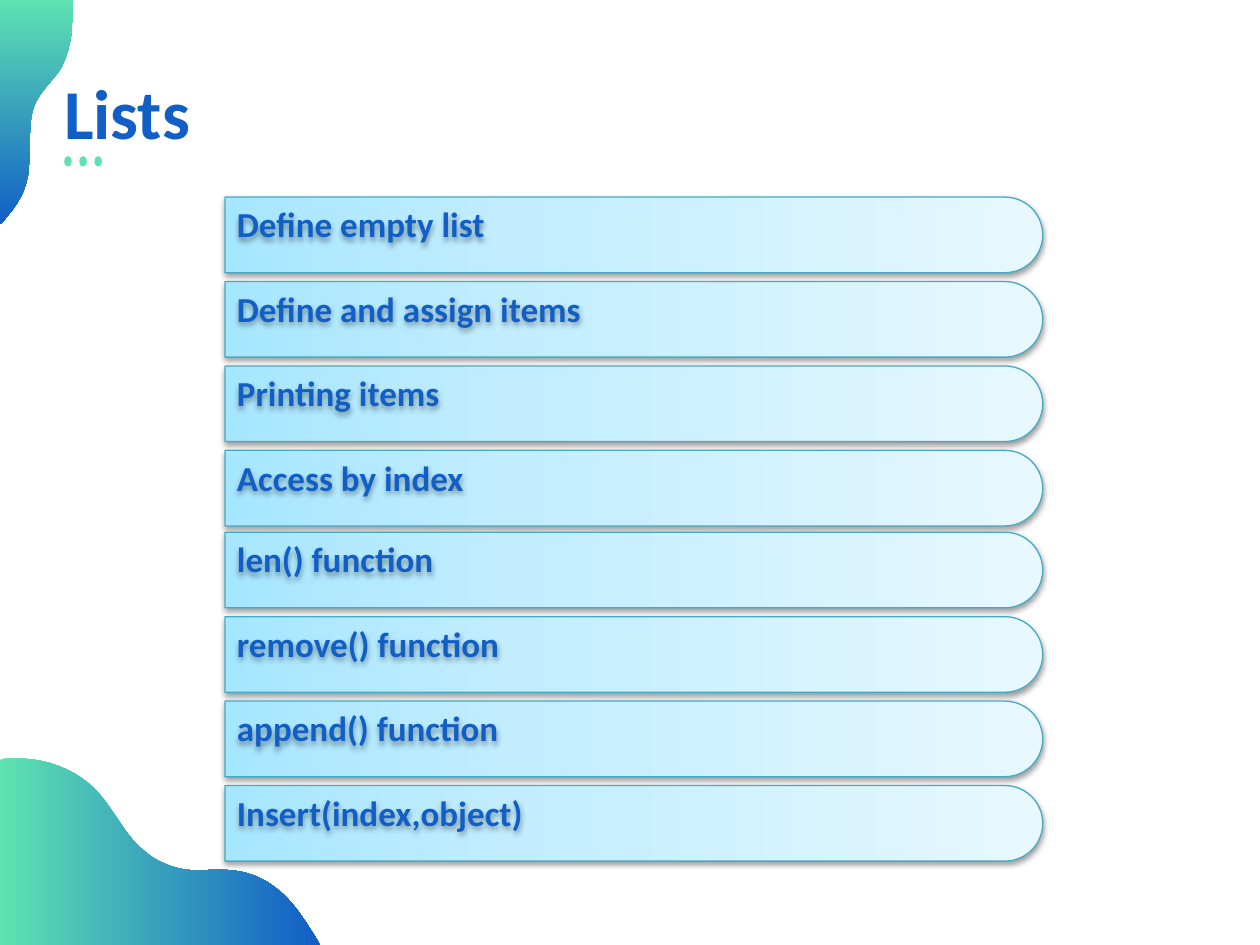
"""Build the Lists slide: eight topic bars, a title and two gradient corner waves."""
import pptx
import pptx.dml.color
import pptx.enum.shapes
import pptx.util
from lxml import etree
from pptx.enum.shapes import MSO_SHAPE
from pptx.util import Pt


class Theme:
    font = "Calibri"
    title_size, item_size = 40, 20
    blue, green, edge = "115EC7", "5EE2B1", "46AAC5"
    wave = [(0, "5EE2B1"), (100, "115EC7")]
    bar = [(0, "A7E6FF"), (35, "C1EDFF"), (100, "E7F8FF")]


A = "http://schemas.openxmlformats.org/drawingml/2006/main"
rgb = pptx.dml.color.RGBColor.from_string


def set_gradient(sp, stops, angle):
    sp.fill.gradient()
    grad = sp.fill._xPr.find(f"{{{A}}}gradFill")
    for child in list(grad):
        grad.remove(child)
    gs = etree.SubElement(grad, f"{{{A}}}gsLst")
    for pos, color in stops:
        stop = etree.SubElement(gs, f"{{{A}}}gs", pos=str(pos * 1000))
        etree.SubElement(stop, f"{{{A}}}srgbClr", val=color)
    etree.SubElement(grad, f"{{{A}}}lin", ang=str(angle * 60000), scaled="0")


def add_text(shapes, text, size, left, top, width, height):
    sp = shapes.add_textbox(Pt(left), Pt(top), Pt(width), Pt(height))
    tf = sp.text_frame
    tf.word_wrap = True
    tf.margin_left = tf.margin_right = tf.margin_top = tf.margin_bottom = 0
    r = tf.paragraphs[0].add_run()
    r.text = text
    r.font.name, r.font.size, r.font.bold = Theme.font, Pt(size), True
    r.font.color.rgb = rgb(Theme.blue)
    return sp


prs = pptx.Presentation()
prs.slide_width, prs.slide_height = Pt(720), Pt(540)
s = prs.slides.add_slide(prs.slide_layouts[6])

bottom_wave = (
    (10.1, 433.4),
    [
        ((25.9, 433.4), (42.5, 439.2), (54, 450.7)),
        ((64.8, 461.5), (70.6, 476.6), (82.1, 486)),
        ((88.6, 491.8), (97.2, 495.4), (105.1, 496.8)),
        ((114.5, 498.2), (123.8, 496.1), (133.2, 497.5)),
        ((141.8, 498.2), (150.5, 501.8), (157, 506.9)),
        ((167, 514.1), (173.5, 524.9), (180, 535)),
    ],
    [(182.9, 540), (0, 540), (0, 434.2), (2.2, 433.4)],
    0,
)
top_wave = (
    (41.8, 7.2),
    [
        ((41.8, 18), (39.6, 29.5), (35.3, 38.2)),
        ((31, 45.4), (25.2, 49.7), (20.9, 57.6)),
        ((18.7, 61.9), (17.3, 67.7), (17.3, 74.2)),
        ((16.6, 80.6), (17.3, 87.1), (16.6, 93.6)),
        ((16.6, 99.4), (15.1, 105.1), (13, 110.2)),
        ((10.1, 116.6), (5.8, 121.7), (2.2, 126)),
    ],
    [(0, 128.2), (0, 0), (41.8, 0)],
    90,
)
steps = 10
for start, curves, corners, angle in (bottom_wave, top_wave):
    outline, p0 = [], start
    for p1, p2, p3 in curves:
        for t in (i / steps for i in range(1, steps + 1)):
            u = 1 - t
            outline.append(tuple(
                u**3 * a + 3 * u * u * t * b + 3 * u * t * t * c + t**3 * d
                for a, b, c, d in zip(p0, p1, p2, p3)
            ))
        p0 = p3
    builder = s.shapes.build_freeform(Pt(start[0]), Pt(start[1]))
    builder.add_line_segments([(Pt(x), Pt(y)) for x, y in outline + corners])
    sp = builder.convert_to_shape()
    sp.shadow.inherit = False
    sp.line.fill.background()
    set_gradient(sp, Theme.wave, angle)

items = [
    "Define empty list", "Define and assign items", "Printing items", "Access by index",
    "len() function", "remove() function", "append() function", "Insert(index,object)",
]
pitch, thickness, length = 48.24, 43.2, 467.3
bars = s.shapes.add_group_shape()
for i, item in enumerate(items):
    top = 115.9 + i * pitch - (1.44 if i >= 4 else 0)
    bar = bars.shapes.add_shape(
        MSO_SHAPE.ROUND_2_SAME_RECTANGLE,
        Pt(340.6), Pt(top - 215.3), Pt(thickness), Pt(length))
    bar.rotation = 90
    bar.adjustments[0], bar.adjustments[1] = 0.5, 0
    set_gradient(bar, Theme.bar, 270)
    bar.line.color.rgb = rgb(Theme.edge)
    bar.line.width = Pt(0.75)
    label = add_text(bars.shapes, item, Theme.item_size, 135.4, top, 360 if i == 0 else 288, pitch)
    for sp in (bar, label):
        sp.shadow.inherit = False
        effects = sp._element.spPr.find(f"{{{A}}}effectLst")
        shadow = etree.SubElement(
            effects, f"{{{A}}}outerShdw", blurRad=str(Pt(3.1)), dist=str(Pt(1.6)),
            dir="5400000", rotWithShape="0")
        color = etree.SubElement(shadow, f"{{{A}}}srgbClr", val="000000")
        etree.SubElement(color, f"{{{A}}}alpha", val="38000")

add_text(s.shapes, "Lists", Theme.title_size, 36.7, 39.6, 629.3, 48.2)

dots = s.shapes.add_group_shape()
for i in range(3):
    dot = dots.shapes.add_shape(MSO_SHAPE.OVAL, Pt(36.7 + 8.64 * i), Pt(89.3), Pt(4.3), Pt(5.8))
    dot.shadow.inherit = False
    dot.fill.solid()
    dot.fill.fore_color.rgb = rgb(Theme.green)
    dot.line.fill.background()

prs.save("out.pptx")
